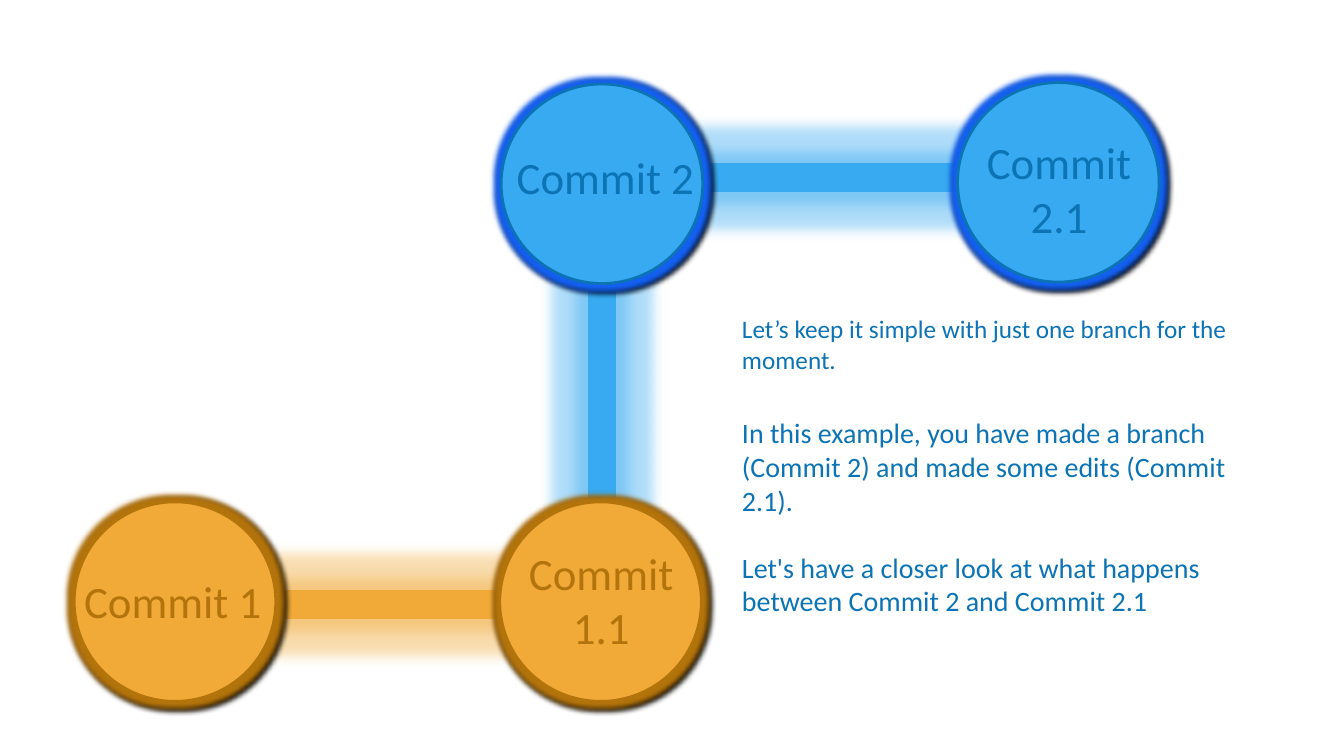
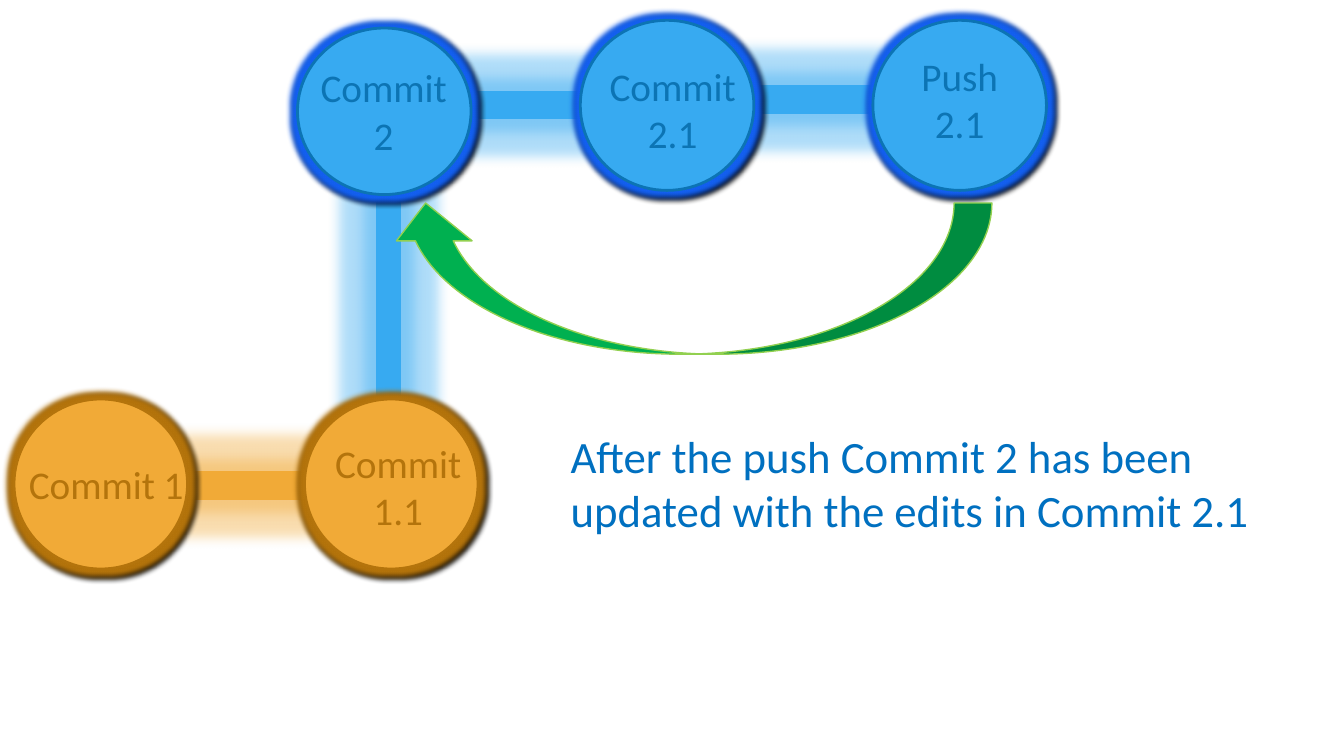
from lxml.etree import SubElement
from pptx import Presentation
from pptx.dml.color import RGBColor
from pptx.enum.shapes import MSO_SHAPE
from pptx.enum.text import PP_ALIGN
from pptx.oxml.ns import qn
from pptx.util import Pt

BLUE = RGBColor(0x37, 0xAA, 0xF1)
DEEP_BLUE = RGBColor(0x0C, 0x74, 0xB4)
BRIGHT_BLUE = RGBColor(0x14, 0x60, 0xF0)
TEXT_BLUE = RGBColor(0x00, 0x70, 0xC0)
ORANGE = RGBColor(0xF1, 0xAA, 0x37)
BROWN = RGBColor(0xB4, 0x74, 0x0C)
GREEN = RGBColor(0x00, 0xB0, 0x50)
LIME = RGBColor(0x92, 0xD0, 0x50)
BLACK = RGBColor(0x00, 0x00, 0x00)

MAIN = {"fill": ORANGE, "edge": BROWN, "glow": BROWN}
BRANCH = {"fill": BLUE, "edge": DEEP_BLUE, "glow": BRIGHT_BLUE}


class CommitDeck:
    """Holds the branch diagram style and the slide being drawn."""

    def __init__(self):
        self.deck = Presentation()
        self.deck.slide_width, self.deck.slide_height = Pt(960), Pt(540)
        self.page = None

    def add_page(self, label_size):
        self.page = self.deck.slides.add_slide(self.deck.slide_layouts[6])
        self.label_size = label_size

    def shape(self, kind, place, fill, edge, weight, rotation=0):
        shape = self.page.shapes.add_shape(kind, *map(Pt, place))
        shape.shadow.inherit = False
        shape.fill.solid()
        shape.fill.fore_color.rgb = fill
        shape.line.color.rgb = edge
        shape.line.width = Pt(weight)
        shape.rotation = rotation
        return shape

    def effect(self, shape, name, color, alpha, **lengths):
        effects = shape._element.spPr.find(qn("a:effectLst"))
        effect = SubElement(effects, qn(f"a:{name}"))
        for key, value in lengths.items():
            effect.set(key, str(int(value)))
        tint = SubElement(effect, qn("a:srgbClr"), val=str(color))
        SubElement(tint, qn("a:alpha"), val=str(alpha * 1000))

    def bar(self, place, color, rotation=0):
        bar = self.shape(MSO_SHAPE.RECTANGLE, place, color, color, 4.5, rotation)
        self.effect(bar, "glow", color, 40, rad=Pt(18))

    def text(self, place, paragraphs, size, color, inset=None, gap=0, align=None):
        box = self.page.shapes.add_textbox(*map(Pt, place))
        frame = box.text_frame
        frame.word_wrap = True
        if inset is not None:
            for side in ("left", "right", "top", "bottom"):
                setattr(frame, f"margin_{side}", Pt(inset))
        for index, words in enumerate(paragraphs):
            para = frame.add_paragraph() if index else frame.paragraphs[0]
            para.text = words
            para.alignment = align
            if index:
                para.space_before = Pt(gap)
            for span in para.runs:
                for key, value in {"name": "Calibri", "size": Pt(size)}.items():
                    setattr(span.font, key, value)
                span.font.color.rgb = color

    def commit(self, place, branch, label, label_place, align=PP_ALIGN.CENTER):
        circle = self.shape(MSO_SHAPE.OVAL, place, branch["fill"], branch["edge"], 2)
        self.effect(circle, "glow", branch["glow"], 100, rad=Pt(8))
        self.effect(circle, "outerShdw", BLACK, 100, dist=Pt(2.8), dir=45 * 60000)
        self.text(label_place, [label], self.label_size, branch["edge"], align=align)

    def return_arrow(self, place):
        self.shape(MSO_SHAPE.CURVED_DOWN_ARROW, place, GREEN, LIME, 1, 180)


def branch_page(show):
    """Draws the branch with its first edits."""
    show.add_page(32)
    show.bar((192, 424, 178, 16), ORANGE)
    show.bar((341, 271, 178, 16), BLUE, 90)
    show.bar((493, 119, 194, 16), BLUE)
    size = (144, 142.5)
    left = PP_ALIGN.LEFT
    show.commit((358, 60, *size), BRANCH, "Commit 2", (362, 103.5, 152, 46), left)
    show.commit((357, 358.5, *size), MAIN, "Commit\n1.1", (353.5, 386.5, 152, 106.5))
    show.commit((53, 358.5, *size), MAIN, "Commit 1", (53, 406, 152, 46), left)
    show.commit((684, 59, *size), BRANCH, "Commit 2.1", (680.5, 93, 152, 85))
    show.text((527, 221, 361, 59),
              ["Let’s keep it simple with just one branch for the moment."],
              18, DEEP_BLUE, inset=3)
    show.text((527, 294, 361, 153),
              ["In this example, you have made a branch (Commit 2) and made some edits (Commit 2.1).",
               "Let's have a closer look at what happens between Commit 2 and Commit 2.1"],
              20, DEEP_BLUE, inset=3, gap=24)


def push_page(show):
    """Draws the push that updates the branch."""
    show.add_page(28)
    show.bar((90, 339, 178, 16), ORANGE)
    show.bar((183, 227, 189, 14), BLUE, 90)
    show.bar((287, 67, 178, 16), BLUE)
    show.bar((486, 63, 178, 16), BLUE)
    size = (124, 121.5)
    show.commit((212.5, 20, 124, 119), BRANCH, "Commit 2", (214, 42, 120, 75))
    show.commit((217.5, 285, *size), MAIN, "Commit 1.1", (219.5, 310.5, 130, 97))
    show.commit((10, 285, *size), MAIN, "Commit 1", (13.5, 325.5, 130, 41), PP_ALIGN.LEFT)
    show.commit((414.5, 14.5, *size), BRANCH, "Commit\n2.1", (414.5, 41, 132, 75))
    show.commit((623.5, 14.5, *size), BRANCH, "Push\n2.1", (634.5, 34, 102, 75))
    show.text((400.5, 303, 509, 85),
              ["After the push Commit 2 has been updated with the edits in Commit 2.1"],
              32, TEXT_BLUE)
    show.return_arrow((277, 145, 431.5, 108))


def main():
    """Builds and saves the deck."""
    show = CommitDeck()
    branch_page(show)
    push_page(show)
    show.deck.save("out.pptx")


if __name__ == "__main__":
    main()
